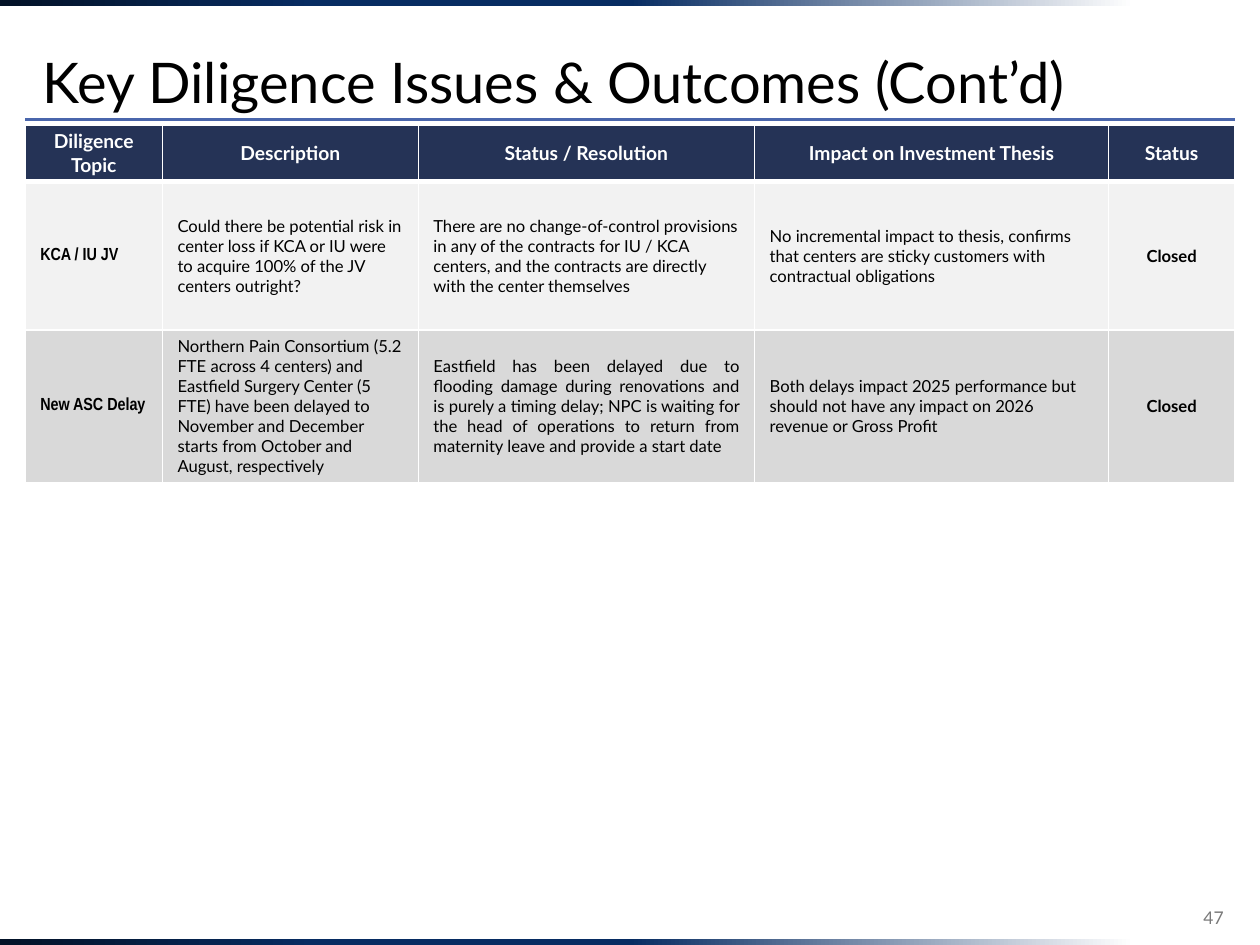
from dataclasses import dataclass

from lxml.etree import SubElement
from pptx import Presentation
from pptx.dml.color import RGBColor
from pptx.enum.shapes import MSO_CONNECTOR, MSO_SHAPE
from pptx.enum.text import MSO_ANCHOR, PP_ALIGN
from pptx.oxml import parse_xml
from pptx.oxml.ns import nsdecls, qn
from pptx.util import Inches, Pt


@dataclass(frozen=True)
class Theme:
    # Colours
    black: str = "000000"
    white: str = "FFFFFF"
    rule: str = "4A66AC"
    header: str = "253356"
    number: str = "797979"
    bands: tuple = ("F2F2F2", "D9D9D9")
    gradient: tuple = ((0, "031227"), (25, "072C62"), (50, "072C62"), (90, "FFFFFF"))
    # Type
    font: str = "Lato"
    topic_font: str = "Arial Narrow"
    title_size: float = 32
    header_size: float = 11
    topic_size: float = 10
    body_size: float = 9.5
    number_size: float = 10


class SlideBuilder:
    def __init__(self, prs, theme):
        self.theme = theme
        self.s = prs.slides.add_slide(prs.slide_layouts[6])

    def add_run(self, tf, text, size, color, align=PP_ALIGN.LEFT, bold=False, font=None):
        p = tf.paragraphs[0]
        p.alignment = align
        r = p.add_run()
        r.text = text
        style = {"name": font or self.theme.font, "size": Pt(size), "bold": bold}
        for name, value in style.items():
            setattr(r.font, name, value)
        r.font.color.rgb = RGBColor.from_string(color)
        return p

    def bar(self, x, y, w, h):
        sp = self.s.shapes.add_shape(
            MSO_SHAPE.RECTANGLE, Inches(x), Inches(y), Inches(w), Inches(h))
        sp.shadow.inherit = False
        sp.line.fill.background()
        stops = "".join(
            f'<a:gs pos="{pos * 1000}"><a:srgbClr val="{color}"/></a:gs>'
            for pos, color in self.theme.gradient)
        grad = parse_xml(f'<a:gradFill {nsdecls("a")}><a:gsLst>{stops}</a:gsLst>'
                         '<a:lin ang="0" scaled="0"/></a:gradFill>')
        sp._element.spPr.find(qn("a:prstGeom")).addnext(grad)

    def rule(self, x1, y1, x2, y2, width):
        line = self.s.shapes.add_connector(
            MSO_CONNECTOR.STRAIGHT, Inches(x1), Inches(y1), Inches(x2), Inches(y2))
        line.line.color.rgb = RGBColor.from_string(self.theme.rule)
        line.line.width = Pt(width)
        SubElement(line._element.spPr, qn("a:effectLst"))

    def text(self, x, y, w, h, text, size, color, anchor, **style):
        tf = self.s.shapes.add_textbox(
            Inches(x), Inches(y), Inches(w), Inches(h)).text_frame
        tf.word_wrap = True
        tf.vertical_anchor = anchor
        return self.add_run(tf, text, size, color, **style)

    def cell(self, cell, fill, margin, borders):
        layout = {
            "vertical_anchor": MSO_ANCHOR.MIDDLE,
            "margin_left": Inches(0.12), "margin_right": Inches(0.12),
            "margin_top": Inches(margin), "margin_bottom": Inches(margin),
        }
        for name, value in layout.items():
            setattr(cell, name, value)
        tcPr = cell._tc.get_or_add_tcPr()
        for side, width in zip("LRTB", borders):
            ln = SubElement(tcPr, qn(f"a:ln{side}"), w=str(Pt(width)))
            SubElement(SubElement(ln, qn("a:solidFill")), qn("a:srgbClr"),
                       val=self.theme.white)
        cell.fill.solid()
        cell.fill.fore_color.rgb = RGBColor.from_string(fill)

    def table(self, x, y, widths, heights, header, rows):
        t = self.theme
        table = self.s.shapes.add_table(
            len(heights), len(widths), Inches(x), Inches(y),
            Inches(sum(widths)), Inches(sum(heights))).table
        table.first_row = table.horz_banding = False
        for col, width in zip(table.columns, widths):
            col.width = Inches(width)
        for row, height in zip(table.rows, heights):
            row.height = Inches(height)

        # Header row
        for c, label in enumerate(header):
            cell = table.cell(0, c)
            self.cell(cell, t.header, 0.03, (1, 1, 0.25, 3))
            self.add_run(cell.text_frame, label, t.header_size, t.white,
                         PP_ALIGN.CENTER, bold=True)

        # Body rows: bold topic, plain text, bold centred status
        last = len(widths) - 1
        for r, (values, aligns) in enumerate(rows):
            for c, (value, align) in enumerate(zip(values, aligns)):
                cell = table.cell(r + 1, c)
                top = 3 if r == 0 else 1
                self.cell(cell, t.bands[r % 2], 0.05, (1, 1, top, 1))
                topic = c == 0
                self.add_run(cell.text_frame, value,
                             t.topic_size if topic else t.body_size, t.black, align,
                             bold=c in (0, last), font=t.topic_font if topic else None)


def main():
    prs = Presentation()
    prs.slide_width, prs.slide_height = Inches(10), Inches(7.5)
    theme = Theme()
    slide = SlideBuilder(prs, theme)

    # Frame
    slide.rule(0.2, 0.95, 9.8, 0.95, 1.5)
    for y in (0, 7.45):
        slide.bar(0, y, 10, 0.05)

    # Title and page number
    title = slide.text(0.24, 0.24, 9.51, 0.73, "Key Diligence Issues & Outcomes (Cont’d)",
                       theme.title_size, theme.black, MSO_ANCHOR.BOTTOM)
    title.line_spacing = 0.9
    slide.text(8.17, 7.08, 1.64, 0.4, "47", theme.number_size, theme.number,
               MSO_ANCHOR.MIDDLE, align=PP_ALIGN.RIGHT)

    # Issues table
    left, center, justify = PP_ALIGN.LEFT, PP_ALIGN.CENTER, PP_ALIGN.JUSTIFY
    header = ["Diligence Topic", "Description", "Status / Resolution",
              "Impact on Investment Thesis", "Status"]
    rows = [
        (["KCA / IU JV",
          "Could there be potential risk in center loss if KCA or IU were to acquire "
          "100% of the JV centers outright?",
          "There are no change-of-control provisions in any of the contracts for "
          "IU / KCA centers, and the contracts are directly with the center themselves",
          "No incremental impact to thesis, confirms that centers are sticky customers "
          "with contractual obligations",
          "Closed"],
         [left, left, left, left, center]),
        (["New ASC Delay",
          "Northern Pain Consortium (5.2 FTE across 4 centers) and Eastfield Surgery "
          "Center (5 FTE) have been delayed to November and December starts from "
          "October and August, respectively",
          "Eastfield has been delayed due to flooding damage during renovations and is "
          "purely a timing delay; NPC is waiting for the head of operations to return "
          "from maternity leave and provide a start date",
          "Both delays impact 2025 performance but should not have any impact on 2026 "
          "revenue or Gross Profit",
          "Closed"],
         [left, left, justify, left, center]),
    ]
    slide.table(0.2, 0.99, [1.09, 2.03, 2.67, 2.81, 1], [0.45, 1.18, 1.2], header, rows)

    prs.save("out.pptx")


if __name__ == "__main__":
    main()
